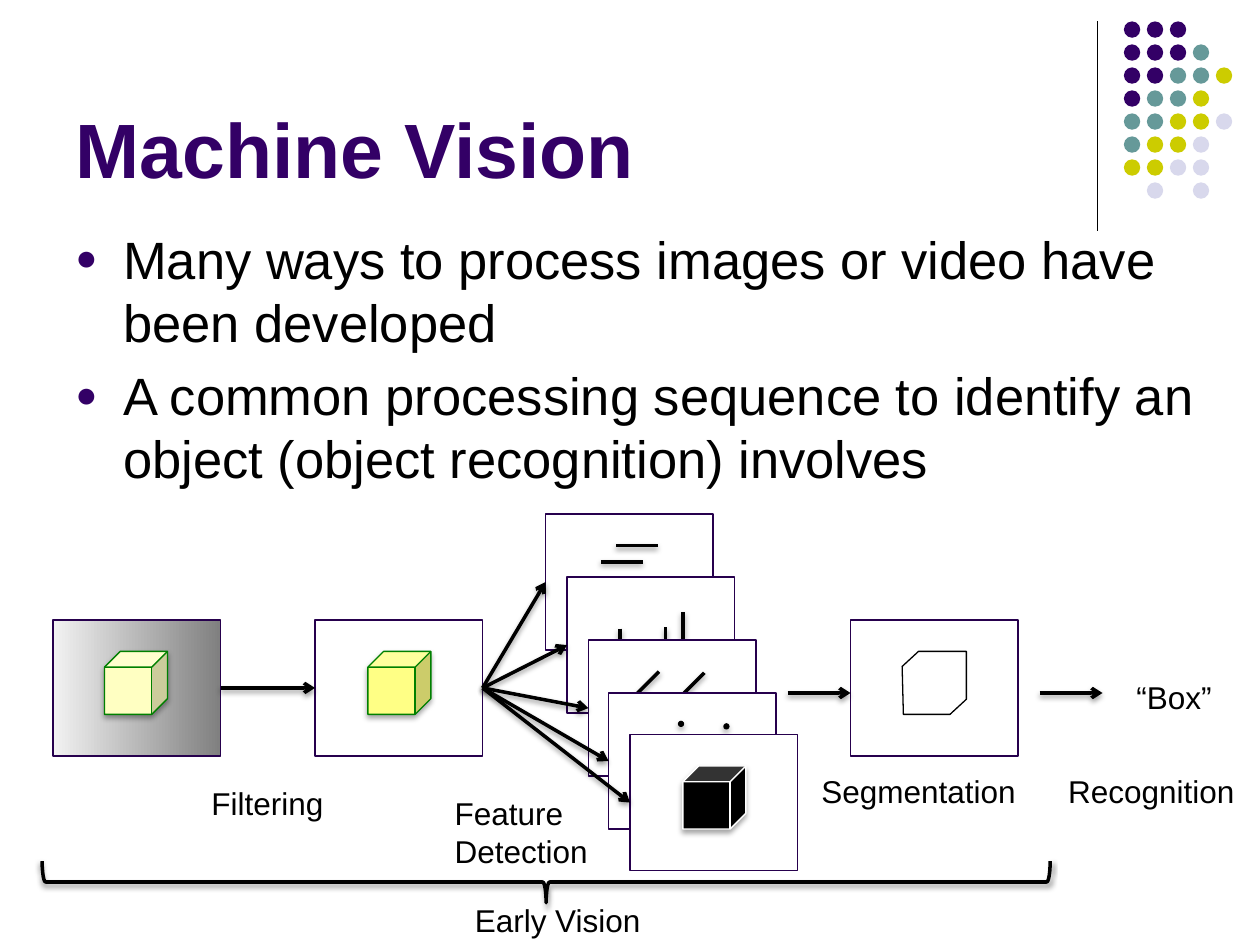
from dataclasses import dataclass

from lxml.etree import SubElement
from pptx import Presentation
from pptx.dml.color import RGBColor
from pptx.enum.shapes import MSO_CONNECTOR, MSO_SHAPE
from pptx.enum.text import MSO_ANCHOR as Anchor, MSO_AUTO_SIZE as AutoSize
from pptx.oxml.ns import qn
from pptx.slide import Slide
from pptx.util import Inches, Pt

RIGHT, LEFT = 3, 1
SHAPE_SHADOW, LINE_SHADOW = (35, 1.8), (38, 1.6)  # opacity in percent, distance in points


def color(hex_string):
    return RGBColor.from_string(hex_string)


@dataclass
class Drawing:
    slide: Slide
    font: str = "Arial"
    ink: str = "000000"
    accent: str = "330066"
    border: str = "26004D"

    def set_effects(self, shape, shadow):
        properties = shape._element.spPr
        effects = properties.find(qn("a:effectLst"))
        if effects is None:
            effects = SubElement(properties, qn("a:effectLst"))
        if shadow:
            opacity, distance = shadow
            outer = SubElement(effects, qn("a:outerShdw"), blurRad=str(Pt(3.1)),
                               dist=str(Pt(distance)), dir="5400000", rotWithShape="0")
            tint = SubElement(outer, qn("a:srgbClr"), val="000000")
            SubElement(tint, qn("a:alpha"), val=str(opacity * 1000))

    def style(self, shape, fill=None, line=None, line_width=0.75, shadow=None):
        if fill:
            shape.fill.solid()
            shape.fill.fore_color.rgb = color(fill)
        else:
            shape.fill.background()
        if line:
            shape.line.color.rgb = color(line)
            shape.line.width = Pt(line_width)
        else:
            shape.line.fill.background()
        shape.shadow.inherit = False
        self.set_effects(shape, shadow)
        return shape

    def shape(self, kind, left, top, width, height, **look):
        place = (Inches(value) for value in (left, top, width, height))
        return self.style(self.slide.shapes.add_shape(kind, *place), **look)

    def dot(self, left, top, size, fill, shadow=None):
        self.shape(MSO_SHAPE.OVAL, left, top, size, size, fill=fill, shadow=shadow)

    def frame(self, left, top, fill=None):
        return self.shape(MSO_SHAPE.RECTANGLE, left, top, 1.33, 1.08,
                          fill=fill, line=self.border)

    def cube(self, left, top, fill, line="008000"):
        self.shape(MSO_SHAPE.CUBE, left, top, 0.5, 0.5,
                   fill=fill, line=line, shadow=SHAPE_SHADOW)

    def outline(self, points):
        corners = [(Inches(x), Inches(y)) for x, y in points]
        builder = self.slide.shapes.build_freeform(*corners[0])
        builder.add_line_segments(corners[1:], close=True)
        self.style(builder.convert_to_shape(), line=self.ink)

    def line(self, start, end, width=2, shadow=LINE_SHADOW):
        line = self.slide.shapes.add_connector(
            MSO_CONNECTOR.STRAIGHT, *(Inches(value) for value in (*start, *end)))
        line.line.color.rgb = color(self.ink)
        line.line.width = Pt(width)
        self.set_effects(line, shadow)
        return line

    def arrow(self, start, end):
        arrow = self.line(start, end)
        SubElement(arrow._element.spPr.find(qn("a:ln")), qn("a:tailEnd"), type="arrow")
        return arrow

    def join(self, source, target):
        arrow = self.arrow((0, 0), (1, 1))
        arrow.begin_connect(source, RIGHT)
        arrow.end_connect(target, LEFT)

    def text(self, lines, left, top, width, height, size=18, fill=None,
             bold=False, wrap=False, anchor=Anchor.TOP):
        place = (Inches(value) for value in (left, top, width, height))
        frame = self.slide.shapes.add_textbox(*place).text_frame
        frame.word_wrap = wrap
        frame.auto_size = AutoSize.NONE if wrap else AutoSize.SHAPE_TO_FIT_TEXT
        frame.vertical_anchor = anchor
        frame.text = "\n".join(lines)
        for paragraph in frame.paragraphs:
            paragraph.font.name = self.font
            paragraph.font.size = Pt(size)
            paragraph.font.bold = bold
            paragraph.font.color.rgb = color(fill or self.ink)
        return frame

    def bullets(self, lines, *place, size):
        for paragraph in self.text(lines, *place, size=size, wrap=True).paragraphs:
            paragraph.space_before = Pt(size * 0.2)
            properties = paragraph._p.get_or_add_pPr()
            properties.set("marL", str(Inches(0.38)))
            properties.set("indent", str(-Inches(0.38)))
            # Bullet settings come before the paragraph's default font
            defaults = properties.find(qn("a:defRPr"))
            for tag, values in (("a:buClr", {}), ("a:buSzPct", {"val": "70000"}),
                                ("a:buFont", {"typeface": self.font}),
                                ("a:buChar", {"char": "●"})):
                defaults.addprevious(properties.makeelement(qn(tag), values))
            SubElement(properties.find(qn("a:buClr")), qn("a:srgbClr"), val=self.accent)


def add_corner_dots(drawing):
    palette = {"P": "330066", "T": "669999", "Y": "CCCC00", "L": "D8D8EC"}
    rows = ["PPP", "PPPT", "PPTTY", "PTTY", "TTYYL", "TYYL", "YYLL", " L L"]
    pitch = 0.73 / 4
    drawing.line((8.71, 0.17), (8.71, 1.83), width=0.75, shadow=None)
    for row, letters in enumerate(rows):
        for column, letter in enumerate(letters):
            if letter in palette:
                drawing.dot(8.92 + column * pitch, 0.17 + row * pitch, 0.13, palette[letter])


def add_feature_maps(drawing):
    maps = [
        (4.33, 4.08, [((4.77, 4.46), (5.1, 4.46)), ((4.89, 4.33), (5.22, 4.33))]),
        (4.5, 4.58, [((5.42, 4.86), (5.42, 5.19)), ((5.28, 4.98), (5.28, 5.32)),
                     ((4.92, 4.99), (4.92, 5.32))]),
        (4.67, 5.08, [((5.43, 5.5), (5.59, 5.34)), ((5.06, 5.5), (5.23, 5.33))]),
        (4.83, 5.5, []),
    ]
    frames = []
    for left, top, strokes in maps:
        frames.append(drawing.frame(left, top, "FFFFFF"))
        for start, end in strokes:
            drawing.line(start, end)
    for left, top in [(5.38, 5.72), (5.74, 5.74)]:
        drawing.dot(left, top, 0.05, drawing.ink, shadow=SHAPE_SHADOW)
    frames.append(drawing.frame(5, 5.83, "FFFFFF"))
    drawing.cube(5.42, 6.08, drawing.ink, line="FFFFFF")
    return frames


def main():
    presentation = Presentation()
    presentation.slide_width, presentation.slide_height = Inches(10), Inches(7.5)
    drawing = Drawing(presentation.slides.add_slide(presentation.slide_layouts[6]))

    # Decoration, title and body
    add_corner_dots(drawing)
    drawing.text(["Machine Vision"], 0.5, 0.17, 8.25, 1.42, size=44, bold=True,
                 fill=drawing.accent, wrap=True, anchor=Anchor.BOTTOM)
    drawing.bullets([
        "Many ways to process images or video have been developed",
        "A common processing sequence to identify an object (object recognition) involves",
    ], 0.5, 1.75, 9.08, 5.17, size=30)

    # Raw and filtered images
    raw = drawing.frame(0.42, 4.92)
    raw.fill.gradient()
    raw.fill.gradient_angle = 0
    for stop, shade in zip(raw.fill.gradient_stops, ("F2F2F2", "808080")):
        stop.color.rgb = color(shade)
    drawing.cube(0.83, 5.17, "FFFFC2")
    filtered = drawing.frame(2.5, 4.92)
    drawing.cube(2.92, 5.17, "FFFF85")

    # Feature detection
    for source, target in [(raw, filtered)] + [
            (filtered, feature) for feature in add_feature_maps(drawing)]:
        drawing.join(source, target)

    # Segmentation and recognition
    drawing.frame(6.75, 4.92)
    drawing.outline([(7.16, 5.29), (7.17, 5.67), (7.54, 5.67),
                     (7.67, 5.55), (7.67, 5.17), (7.29, 5.17)])
    for left in (6.25, 8.25):
        drawing.arrow((left, 5.5), (left + 0.5, 5.5))

    # Early vision brace and labels
    drawing.shape(MSO_SHAPE.LEFT_BRACE, 4.17, 3, 0.33, 8, line=drawing.ink,
                  line_width=2, shadow=LINE_SHADOW).rotation = 270
    drawing.text(["Feature", "Detection"], 3.51, 6.25, 1.27, 0.71)
    for label, left, top, width in [
            ("Filtering", 1.58, 6.17, 1.1), ("Segmentation", 6.42, 6.08, 1.76),
            ("“Box”", 8.92, 5.33, 0.81), ("Recognition", 8.38, 6.08, 1.54),
            ("Early Vision", 3.67, 7.1, 1.53)]:
        drawing.text([label], left, top, width, 0.4)

    presentation.save("out.pptx")


if __name__ == "__main__":
    main()
